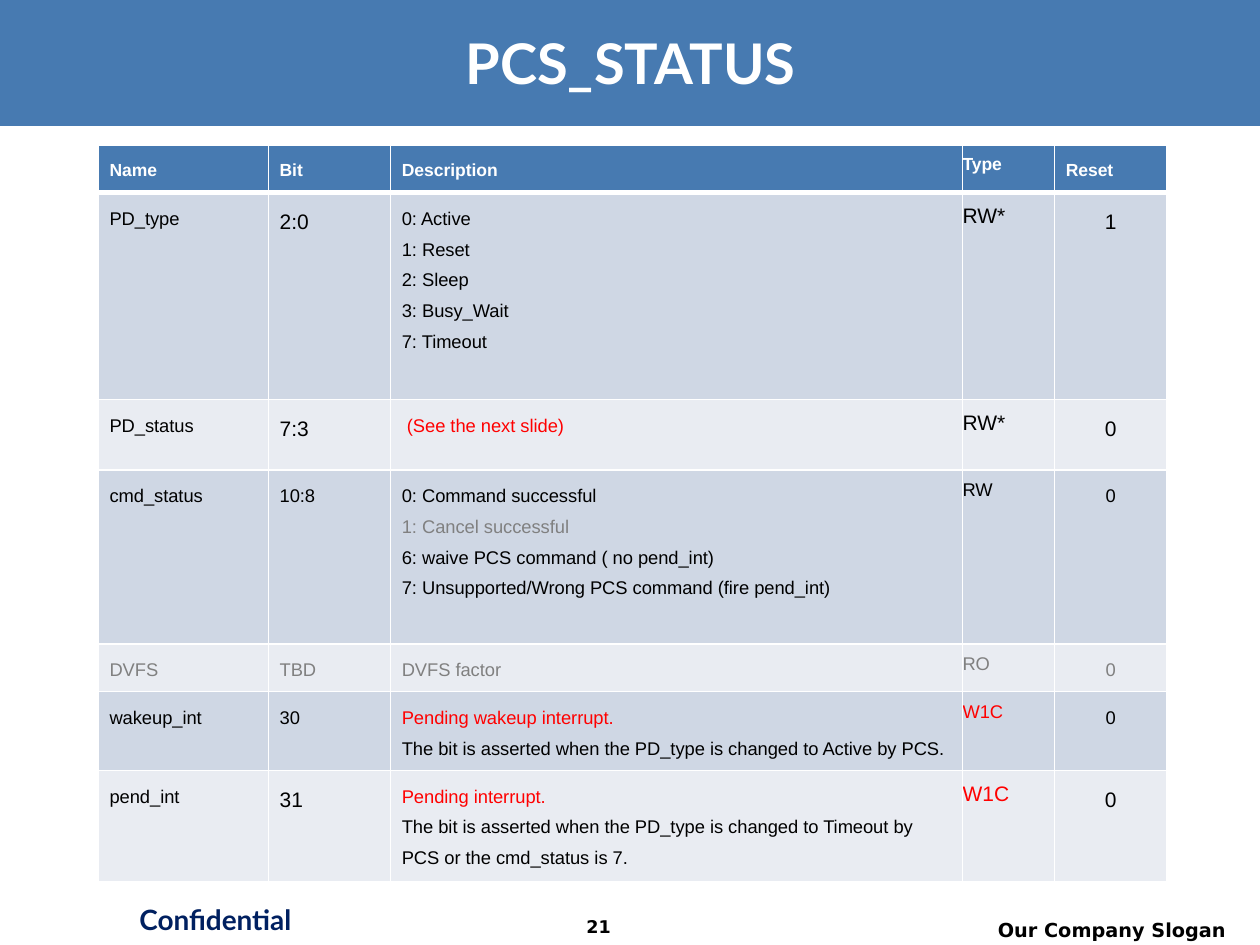
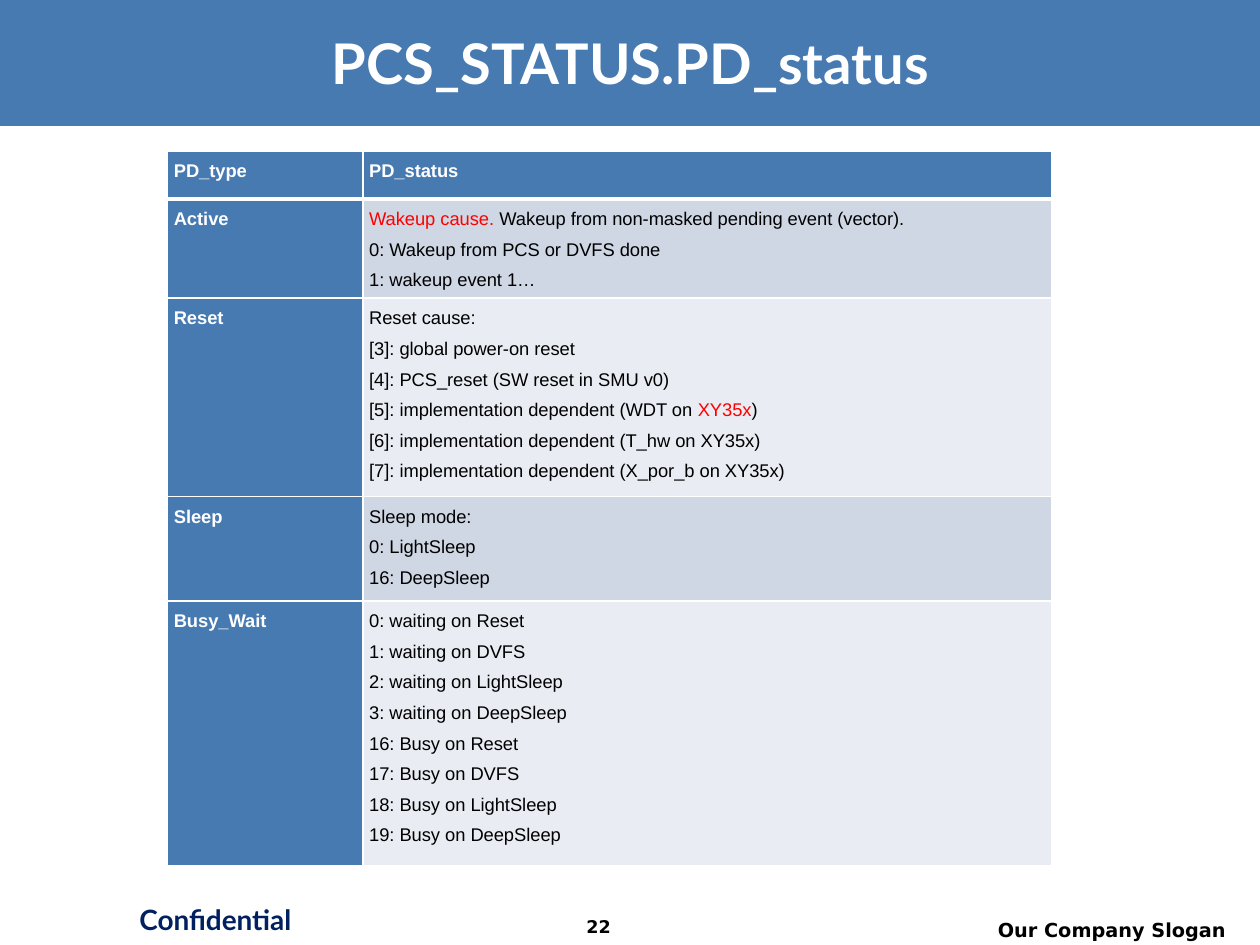
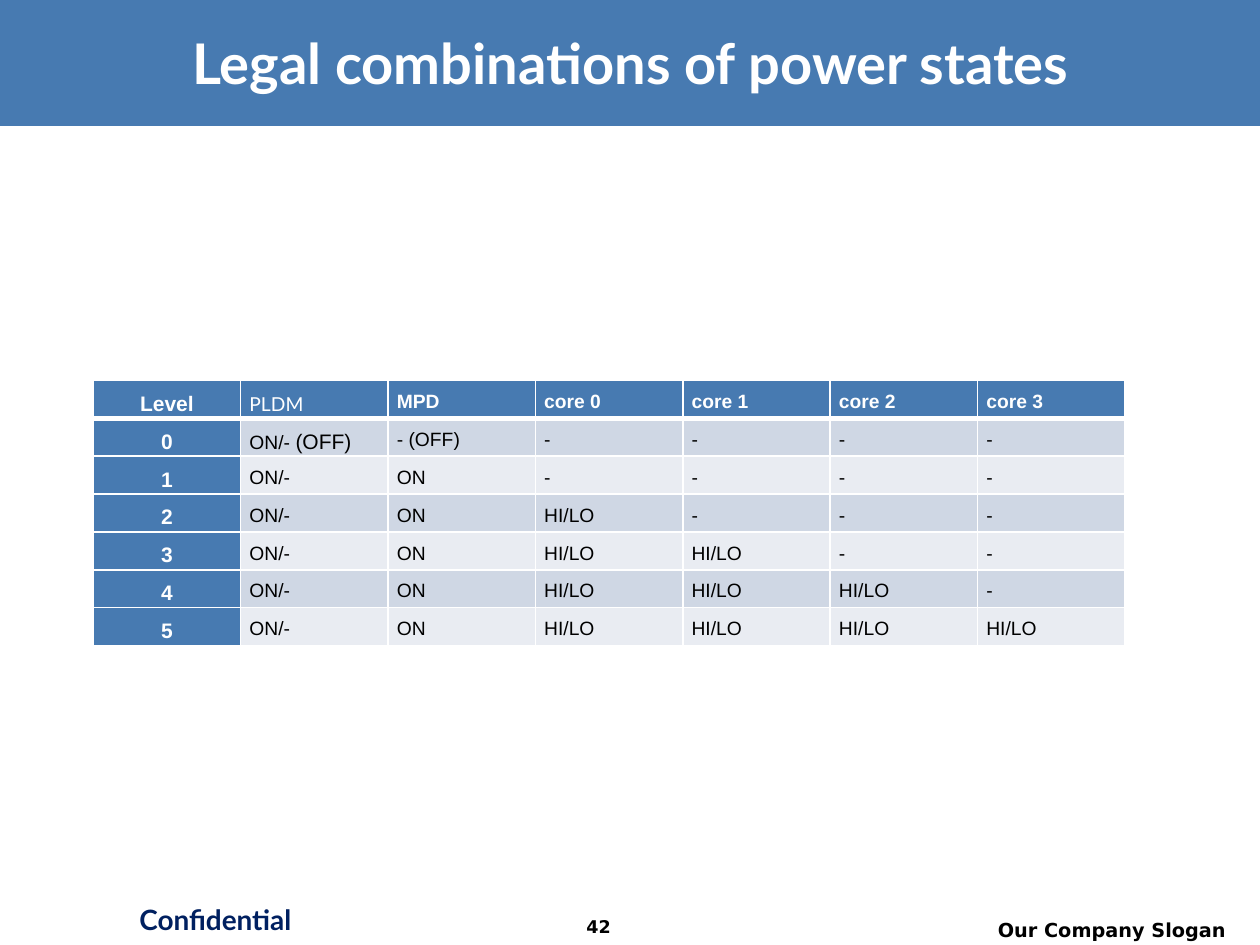
from collections import namedtuple

from lxml.etree import SubElement
from pptx import Presentation
from pptx.dml.color import RGBColor
from pptx.enum.shapes import MSO_SHAPE
from pptx.enum.text import MSO_ANCHOR, PP_ALIGN
from pptx.oxml import parse_xml
from pptx.oxml.ns import nsdecls, qn
from pptx.util import Inches, Pt

COLORS = {
    "band": "477AB1",
    "odd_row": "CFD7E4",
    "even_row": "E9ECF2",
    "white": "FFFFFF",
    "black": "000000",
    "navy": "002060",
    "red": "FF0000",
    "gray": "808080",
}
BODY_FONT, TITLE_FONT, FOOTER_FONT = "Arial", "Lato", "DejaVu Sans"
GRID_COLUMNS, GRID_ROWS = 100, 75
TABLE_LINE_SPACING = 1.5

Run = namedtuple("Run", "text color size", defaults=(None, None))
Cell = namedtuple("Cell", "content format")


def grid(count):
    """Length of a number of grid columns or rows, ten to the inch."""
    return Inches(count / 10)


def rgb(name):
    return RGBColor.from_string(COLORS[name])


def write_text(frame, content, font=BODY_FONT, size=10.5, color="black", bold=False,
               align=PP_ALIGN.LEFT, anchor=MSO_ANCHOR.TOP, spacing=None):
    """Fill a frame from a string with line breaks, or a list of paragraphs made of runs."""
    frame.word_wrap = True
    frame.vertical_anchor = anchor
    paragraphs = content.split("\n") if isinstance(content, str) else content
    for index, runs in enumerate(paragraphs):
        paragraph = frame.paragraphs[0] if index == 0 else frame.add_paragraph()
        paragraph.alignment = align
        paragraph.line_spacing = spacing
        for item in runs if isinstance(runs, list) else [runs]:
            piece = Run(item) if isinstance(item, str) else item
            run = paragraph.add_run()
            run.text = piece.text
            run.font.name = font
            run.font.size = Pt(piece.size or size)
            run.font.bold = bold
            run.font.color.rgb = rgb(piece.color or color)


def add_label(slide, box, text, **text_format):
    label = slide.shapes.add_textbox(*map(grid, box))
    write_text(label.text_frame, text, **text_format)
    return label


def add_text_shadow(run):
    effects = parse_xml(
        f'<a:effectLst {nsdecls("a")}><a:outerShdw dist="38100" dir="2700000">'
        f'<a:srgbClr val="{COLORS["black"]}"/></a:outerShdw></a:effectLst>')
    run.font.fill._xPr.find(qn("a:solidFill")).addnext(effects)


def add_frame(slide, title, page):
    """Title band and footer that every slide carries."""
    band = slide.shapes.add_shape(MSO_SHAPE.RECTANGLE, 0, 0, grid(GRID_COLUMNS), grid(10))
    band.shadow.inherit = False
    band.fill.solid()
    band.fill.fore_color.rgb = rgb("band")
    band.line.fill.background()
    centered = {"align": PP_ALIGN.CENTER, "bold": True}
    add_label(slide, (8.9, 71.1, 16.4, 4.2), "Confidential",
              font=TITLE_FONT, size=16, color="navy", **centered)
    add_label(slide, (74.6, 72.4, 23.7, 2.6), "Our Company Slogan",
              font=FOOTER_FONT, size=11, bold=True, align=PP_ALIGN.RIGHT)
    add_label(slide, (42.9, 72.2, 9.2, 2.8), str(page), font=FOOTER_FONT, size=10, **centered)
    heading = add_label(slide, (3.5, 1.6, 93.1, 6.6), title, font=TITLE_FONT, size=32,
                        color="white", anchor=MSO_ANCHOR.MIDDLE, **centered)
    add_text_shadow(heading.text_frame.paragraphs[0].runs[0])


def set_borders(cell, top, bottom):
    """White lines around a cell, placed before its fill."""
    properties = cell._tc.get_or_add_tcPr()
    widths = {"lnL": 1, "lnR": 1, "lnT": top, "lnB": bottom}
    for index, (side, width) in enumerate(widths.items()):
        line = SubElement(properties, qn(f"a:{side}"), w=str(Pt(width)))
        fill = SubElement(line, qn("a:solidFill"))
        SubElement(fill, qn("a:srgbClr"), val=COLORS["white"])
        properties.insert(index, line)


def add_grid_table(slide, corner, widths, heights, rows, insets, header_column=False):
    """Banded table; insets gives the side and top margin of each column."""
    left, top = corner
    table = slide.shapes.add_table(
        len(rows), len(widths), grid(left), grid(top),
        grid(sum(widths)), grid(sum(heights))).table
    table.horz_banding = False
    for column, width in zip(table.columns, widths):
        column.width = grid(width)
    for row, height in zip(table.rows, heights):
        row.height = grid(height)
    for row_index, row in enumerate(rows):
        for column_index, item in enumerate(row):
            cell = table.cell(row_index, column_index)
            is_header = row_index == 0 or (header_column and column_index == 0)
            band = "odd_row" if row_index % 2 else "even_row"
            cell.fill.solid()
            cell.fill.fore_color.rgb = rgb("band" if is_header else band)
            set_borders(cell, 3 if row_index == 1 else 1, 3 if row_index == 0 else 1)
            side, edge = map(grid, insets[column_index])
            cell.margin_left = cell.margin_right = side
            cell.margin_top = cell.margin_bottom = edge
            content, overrides = item if isinstance(item, Cell) else (item, {})
            defaults = {"bold": is_header, "color": "white" if is_header else "black",
                        "spacing": TABLE_LINE_SPACING}
            write_text(cell.text_frame, content, **{**defaults, **overrides})


def register_row(name, bit, description, kind, reset, size=10.5, color="black",
                 kind_color=None):
    """Row of the register table; size applies to the short value columns."""
    value = {"size": size, "color": color}
    return [
        Cell(name, {"color": color}),
        Cell(bit, value),
        Cell(description, {"color": color}),
        Cell(kind, {"size": size, "color": kind_color or color}),
        Cell(reset, {**value, "align": PP_ALIGN.CENTER}),
    ]


def add_register_slide(slide):
    add_frame(slide, "PCS_STATUS", 21)
    header = [Cell(text, {"size": 10})
              for text in ("Name", "Bit", "Description", "Type", "Reset")]
    rows = [
        header,
        register_row("PD_type", "2:0",
                     "0: Active\n1: Reset\n2: Sleep\n3: Busy_Wait\n7: Timeout",
                     "RW*", "1", size=12),
        register_row("PD_status", "7:3", [Run(" (See the next slide)", "red")],
                     "RW*", "0", size=12),
        register_row("cmd_status", "10:8",
                     ["0: Command successful",
                      Run("1: Cancel successful", "gray"),
                      "6: waive PCS command ( no pend_int)",
                      "7: Unsupported/Wrong PCS command (fire pend_int)"],
                     "RW", "0"),
        register_row("DVFS", "TBD", "DVFS factor", "RO", "0", color="gray"),
        register_row("wakeup_int", "30",
                     [Run("Pending wakeup interrupt.", "red"),
                      "The bit is asserted when the PD_type is changed to Active by PCS."],
                     "W1C", "0", kind_color="red"),
        register_row("pend_int", "31",
                     [Run("Pending interrupt.", "red"),
                      "The bit is asserted when the PD_type is changed to Timeout by PCS "
                      "or the cmd_status is 7."],
                     "W1C", "0", size=12, kind_color="red"),
    ]
    padded, tight = (0.9, 0.5), (0, 0)
    add_grid_table(slide, (7.8, 11.5), (13.5, 9.7, 45.4, 7.3, 8.9),
                   (3.8, 16.4, 5.6, 13.8, 3.8, 6.1, 8.7), rows,
                   [padded, padded, padded, tight, padded])


def add_status_slide(slide):
    add_frame(slide, "PCS_STATUS.PD_status", 22)
    rows = [
        ["PD_type", "PD_status"],
        ["Active", [[Run("Wakeup cause. ", "red"),
                     "Wakeup from non-masked pending event (vector)."],
                    "0: Wakeup from PCS or DVFS done",
                    "1: wakeup event 1…"]],
        ["Reset", ["Reset cause:",
                   "[3]: global power-on reset",
                   "[4]: PCS_reset (SW reset in SMU v0)",
                   ["[5]: implementation dependent (WDT on ", Run("XY35x", "red"), ")"],
                   "[6]: implementation dependent (T_hw on XY35x)",
                   "[7]: implementation dependent (X_por_b on XY35x)"]],
        ["Sleep", "Sleep mode:\n0: LightSleep\n16: DeepSleep"],
        ["Busy_Wait", [f"{code + index}: {action} on {target}"
                       for code, action in ((0, "waiting"), (16, "Busy"))
                       for index, target in enumerate(
                           ("Reset", "DVFS", "LightSleep", "DeepSleep"))]],
    ]
    add_grid_table(slide, (13.3, 12), (15.5, 54.7), (3.8, 7, 14.3, 8.3, 19.2), rows,
                   [(0.5, 0)] * 2, header_column=True)


def add_power_slide(slide):
    add_frame(slide, "Legal combinations of power states", 42)
    cores, levels = 4, 6
    level_format = {"size": 12, "align": PP_ALIGN.CENTER}
    plain = {"size": 11}
    rows = [[Cell("Level", level_format),
             Cell("PLDM", {"size": 11, "font": TITLE_FONT, "bold": False}),
             Cell("MPD", plain)]
            + [Cell(f"core {core}", plain) for core in range(cores)]]
    for level in range(levels):
        domain = "ON/-" if level else [["ON/- ", Run("(OFF)", size=12)]]
        states = ["HI/LO" if core < level - 1 else "-" for core in range(cores)]
        values = [domain, "ON" if level else "- (OFF)"] + states
        rows.append([Cell(str(level), level_format)]
                    + [Cell(value, plain) for value in values])
    columns = cores + 3
    add_grid_table(slide, (7.4, 30.2), [11.7] * columns, [2.8] * (levels + 1), rows,
                   [(0.7, 0)] * columns, header_column=True)


def main():
    presentation = Presentation()
    presentation.slide_width = grid(GRID_COLUMNS)
    presentation.slide_height = grid(GRID_ROWS)
    blank = presentation.slide_layouts[6]
    for build in (add_register_slide, add_status_slide, add_power_slide):
        build(presentation.slides.add_slide(blank))
    presentation.save("out.pptx")


if __name__ == "__main__":
    main()
